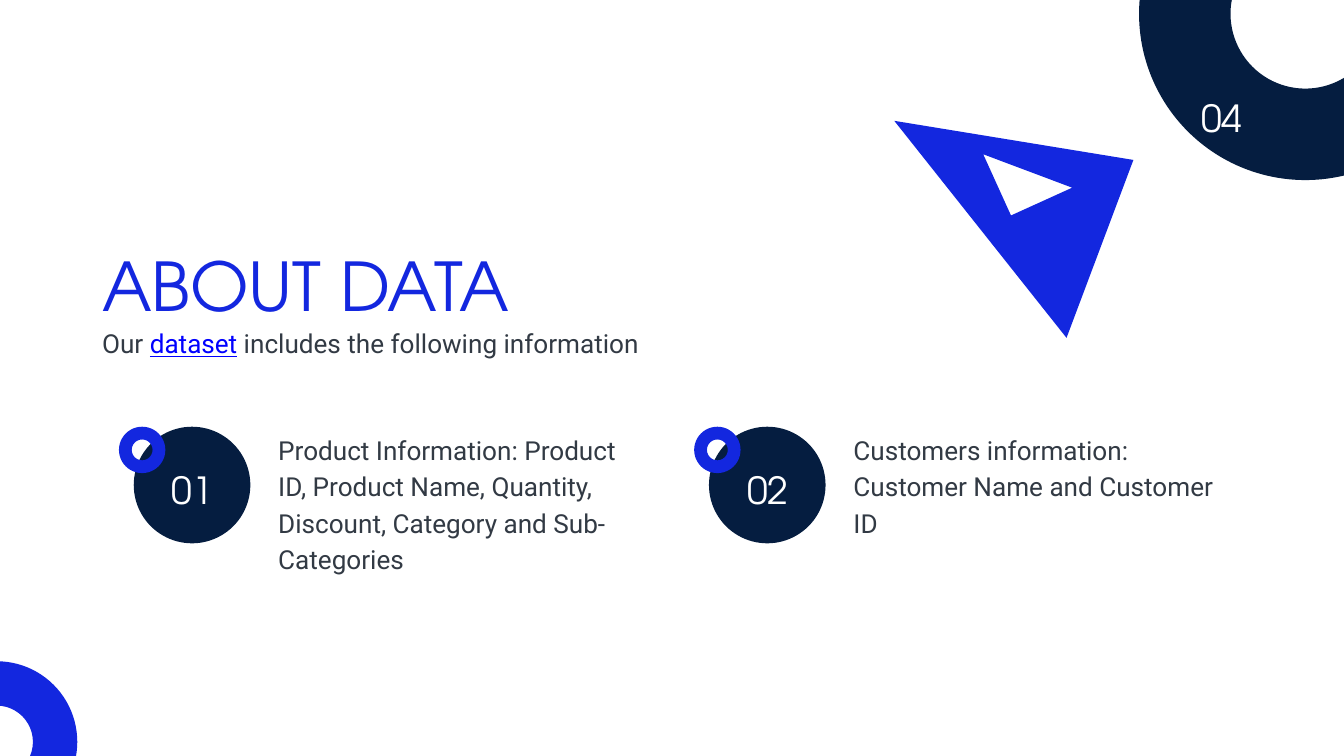
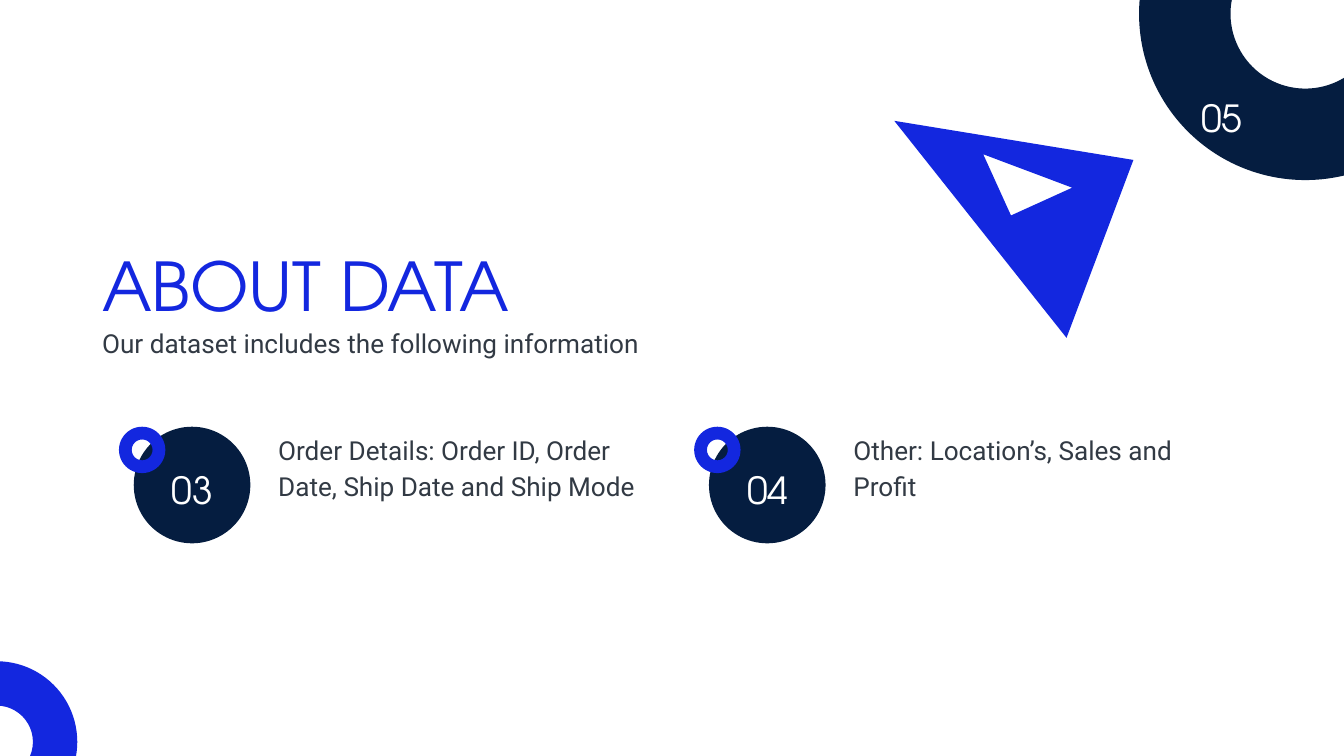
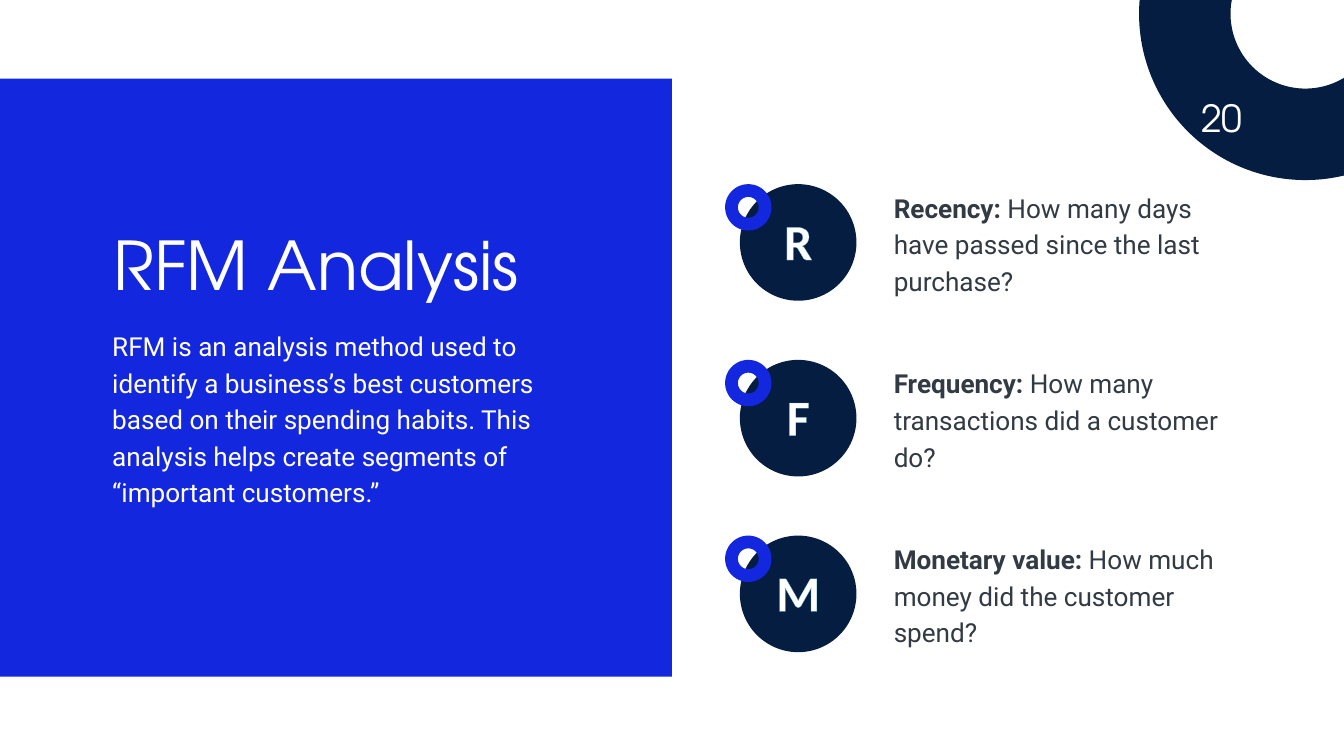
from lxml import etree
from pptx import Presentation
from pptx import util as u
from pptx.dml.color import RGBColor
from pptx.enum import shapes, text
from pptx.oxml.ns import qn

NAVY = RGBColor(0x05, 0x1D, 0x40)
BLUE = RGBColor(0x13, 0x27, 0xDF)
INK = RGBColor(0x32, 0x3A, 0x44)
WHITE = RGBColor(0xFF, 0xFF, 0xFF)
LINK = RGBColor(0x00, 0x00, 0xFF)
GLOW = RGBColor(0x4B, 0xAC, 0xC6)

WIDTH, HEIGHT = u.Inches(20), u.Inches(11.25)
COLUMN, ROW = WIDTH / 20, HEIGHT / 11.25
RING_THICKNESS = 0.275
DISC_SIZE, DISC_SHIFT = 1.735, 0.22

DISPLAY = {"name": "TeX Gyre Adventor", "size": u.Pt(72)}
NUMBER = {"name": "TeX Gyre Adventor", "size": u.Pt(40)}
BODY = {"name": "Roboto", "size": u.Pt(28)}
LETTER = {"name": "Calibri", "size": u.Pt(54), "bold": True}
FRAME = {"word_wrap": True, "auto_size": text.MSO_AUTO_SIZE.SHAPE_TO_FIT_TEXT,
         "vertical_anchor": text.MSO_ANCHOR.TOP}
NO_MARGINS = dict.fromkeys(
    ("margin_left", "margin_top", "margin_right", "margin_bottom"), 0)

TRIANGLE_OUTER = [(16.85, 4.92), (13.62, 3.08), (16.03, 1.41)]
TRIANGLE_INNER = [(14.87, 3.02), (15.85, 3.58), (15.6, 2.51)]
TRIANGLE_ANGLE = 155.6

INTRO = "Our dataset includes the following information"
LINKED_INTRO = [("Our ", {}), ("dataset", {"underline": True, "color": LINK}),
                (" includes the following information", {})]
DATA_PAGES = [
    ("04", LINKED_INTRO, [
        ("01", "Product Information: Product ID, Product Name, Quantity, "
               "Discount, Category and Sub-Categories"),
        ("02", "Customers information: Customer Name and Customer ID")]),
    ("05", [(INTRO, {})], [
        ("03", "Order Details: Order ID, Order Date, Ship Date and Ship Mode"),
        ("04", "Other: Location’s, Sales and Profit")]),
]
RFM_TEXT = ("RFM is an analysis method used to identify a business’s best "
            "customers based on their spending habits. This analysis helps "
            "create segments of “important customers.”")
RFM_ITEMS = [
    ("R", "Recency:", " How many days have passed since the last purchase?"),
    ("F", "Frequency:", " How many transactions did a customer do?"),
    ("M", "Monetary value:", " How much money did the customer spend?"),
]


def apply(target, values):
    for name, value in values.items():
        setattr(target, name, value)


def area(left, top, width, height):
    return [u.Emu(round(length * unit)) for length, unit in
            zip((left, top, width, height), (COLUMN, ROW, COLUMN, ROW))]


def paint(shape, color):
    shape.shadow.inherit = False
    shape.fill.solid()
    shape.fill.fore_color.rgb = color
    shape.line.fill.background()
    return shape


def add_figure(page, kind, box, color):
    return paint(page.shapes.add_shape(kind, *area(*box)), color)


def add_ring(page, left, top, size, color):
    ring = add_figure(page, shapes.MSO_SHAPE.DONUT, (left, top, size, size), color)
    ring.adjustments[0] = RING_THICKNESS


def write(box, spans, style, color, leading=None, centred=False, margins=NO_MARGINS):
    frame = box.text_frame
    apply(frame, {**FRAME, **margins})
    para = frame.paragraphs[0]
    if box.is_placeholder:
        properties = para._p.get_or_add_pPr()
        properties.set("marL", "0")
        properties.set("indent", "0")
        etree.SubElement(properties, qn("a:buNone"))
    para.alignment = text.PP_ALIGN.CENTER if centred else text.PP_ALIGN.LEFT
    para.space_before = u.Pt(0)
    if leading:
        para.line_spacing = u.Pt(leading)
    for words, changes in spans:
        span = para.add_run()
        span.text = words
        values = {**style, **changes}
        span.font.color.rgb = values.pop("color", color)
        apply(span.font, values)
    return para


def add_text(page, box, *args, **options):
    return write(page.shapes.add_textbox(*area(*box)), *args, **options)


def fill_placeholder(holder, box, *args, **options):
    apply(holder, dict(zip(("left", "top", "width", "height"), area(*box))))
    write(holder, *args, **options)


def add_number(page, left, top, number):
    add_text(page, (left, top, 1.53, 0.76), [(number, {})], NUMBER, WHITE,
             leading=56, centred=True)


def add_page_number(page, number):
    add_ring(page, 16.95, -2.27, 4.95, NAVY)
    add_number(page, 17.42, 1.31, number)


def add_badge(page, left, top):
    add_figure(page, shapes.MSO_SHAPE.OVAL,
               (left + DISC_SHIFT, top, DISC_SIZE, DISC_SIZE), NAVY)
    add_ring(page, left, top, 0.69, BLUE)


def add_letter(page, left, top, letter):
    width = 11.22
    middle = left + DISC_SHIFT + DISC_SIZE / 2
    para = add_text(page, (middle - width / 2, top + 0.33, width, 1.01),
                    [(letter, {})], LETTER, WHITE, centred=True, margins={})
    outline = etree.Element(qn("a:ln"), w=str(u.Pt(0.8)))
    fill = etree.SubElement(outline, qn("a:solidFill"))
    etree.SubElement(fill, qn("a:srgbClr"), val=str(GLOW))
    para.runs[0]._r.get_or_add_rPr().insert(0, outline)


def add_triangle(page):
    builder = page.shapes.build_freeform(*TRIANGLE_OUTER[0], scale=COLUMN)
    builder.add_line_segments(TRIANGLE_OUTER[1:])
    builder.move_to(*TRIANGLE_INNER[0])
    builder.add_line_segments(TRIANGLE_INNER[1:])
    triangle = paint(builder.convert_to_shape(), BLUE)
    triangle.rotation = TRIANGLE_ANGLE


def add_data_page(deck, page_number, intro, items):
    page = deck.slides.add_slide(deck.slide_layouts[1])
    add_page_number(page, page_number)
    fill_placeholder(page.shapes.title, (1.52, 3.44, 12.15, 1.37),
                     [("ABOUT DATA", {})], DISPLAY, BLUE, leading=100.8)
    fill_placeholder(page.placeholders[1], (1.52, 4.8, 12.15, 0.51),
                     intro, BODY, INK, leading=39.2)
    top = 6.35
    for index, (number, words) in enumerate(items):
        left = 1.77 + 8.56 * index
        add_text(page, (left + 2.37, top + 0.03, 5.49, 1.06),
                 [(words, {})], BODY, INK, leading=39.2)
        add_badge(page, left, top)
        add_number(page, left + 0.33, top + 0.49, number)
    add_triangle(page)
    add_ring(page, -1.25, 9.84, 2.4, BLUE)


def add_rfm_page(deck):
    page = deck.slides.add_slide(deck.slide_layouts[1])
    title = page.shapes.title
    panel = add_figure(page, shapes.MSO_SHAPE.RECTANGLE,
                       (-0.55, 1.17, 10.55, 8.9), BLUE)
    title.element.addprevious(panel.element)
    fill_placeholder(title, (1.69, 3.52, 7.77, 1.06),
                     [("RFM Analysis", {})], DISPLAY, WHITE, leading=72)
    fill_placeholder(page.placeholders[1], (1.67, 4.84, 6.27, 2.7),
                     [(RFM_TEXT, {})], BODY, WHITE, leading=39.2)
    add_page_number(page, "20")
    left = 10.79
    for index, (letter, term, question) in enumerate(RFM_ITEMS):
        top = 2.74 + 2.615 * index
        add_badge(page, left, top)
        add_text(page, (left + 2.51, top + 0.04, 5.25, 1.06),
                 [(term, {"bold": True}), (question, {})], BODY, INK, leading=39.2)
        add_letter(page, left, top, letter)


def main():
    deck = Presentation()
    deck.slide_width, deck.slide_height = WIDTH, HEIGHT
    for content in DATA_PAGES:
        add_data_page(deck, *content)
    add_rfm_page(deck)
    deck.save("out.pptx")


if __name__ == "__main__":
    main()
